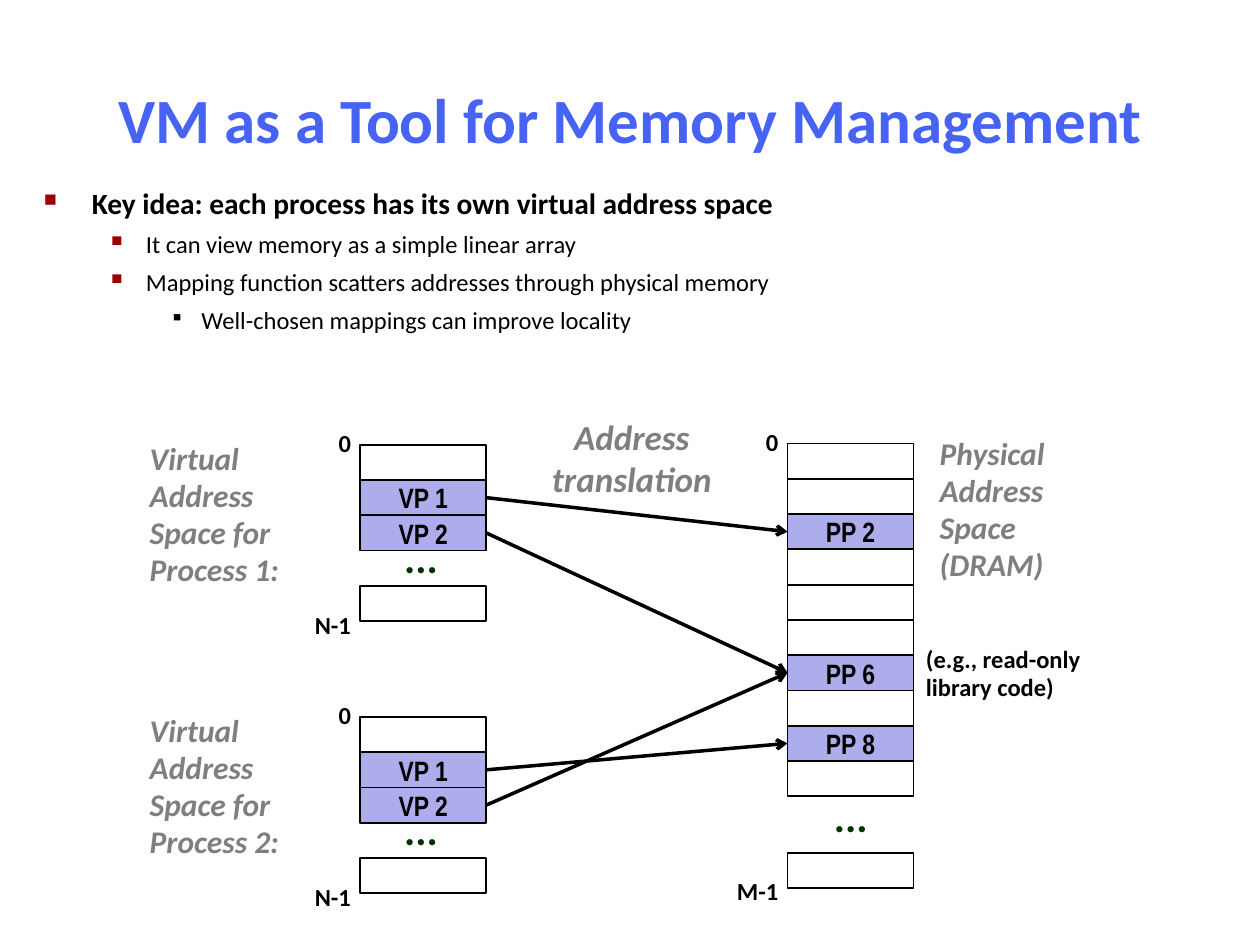
from dataclasses import dataclass

from lxml import etree
from pptx import Presentation
from pptx import util as u
from pptx.dml.color import RGBColor
from pptx.enum import shapes, text
from pptx.oxml import ns

COLORS = {
    "title": "4763F3", "ink": "000000", "label": "7F7F7F",
    "page": "ADADEB", "dots": "003300", "bullet": "990000",
}
ROW, COLUMN = 0.28, 1.0  # height and width of a memory page, inches
LEFT, CENTER = text.PP_ALIGN.LEFT, text.PP_ALIGN.CENTER


@dataclass
class AddressSpace:
    """A column of memory pages; rows count from its top."""
    left: float
    top: float
    rows: int
    last_row: float
    named: dict[int, str]
    end: str
    end_width: float
    dots_offset: tuple[float, float]

    def row_top(self, row: float) -> float:
        """Return the top of a row."""
        return self.top + row * ROW


@dataclass
class Bullet:
    """One line of the bulleted list."""
    words: str
    level: int
    size: float
    before: float
    margin: float
    hanging: float
    mark: str
    percent: int
    color: str


@dataclass
class Label:
    """A free text beside the columns."""
    words: str
    place: tuple[float, float, float, float]
    style: dict


def color(name: str) -> RGBColor:
    """Look up a colour by its name."""
    return RGBColor.from_string(COLORS[name])


def write(para, words: str, *, size: float = 14, font: str = "Calibri",
          ink: str = "ink", bold: bool = True, italic: bool = False,
          align=LEFT, spacing: float = 1.0, before: float = 0) -> None:
    """Put formatted words into a paragraph."""
    para.alignment, para.line_spacing = align, spacing
    para.space_before = u.Pt(before)
    span = para.add_run()
    span.text = words
    span.font.size, span.font.name = u.Pt(size), font
    span.font.bold, span.font.italic = bold, italic
    span.font.color.rgb = color(ink)


def add_text(page, words: str, place, *, wrap: bool = True, **style):
    """Add a text box with one paragraph for each line of words."""
    box = page.shapes.add_textbox(*map(u.Inches, place))
    frame = box.text_frame
    frame.word_wrap = wrap
    for index, line in enumerate(words.split("\n")):
        para = frame.add_paragraph() if index else frame.paragraphs[0]
        write(para, line, **style)
    return box


def add_title(page, words: str) -> None:
    """Place and fill the title."""
    box = page.shapes.title
    box.left, box.top, box.width, box.height = map(u.Inches, (0.29, 0.62, 9.42, 0.63))
    frame = box.text_frame
    frame.auto_size, frame.word_wrap = text.MSO_AUTO_SIZE.NONE, True
    frame.vertical_anchor = text.MSO_ANCHOR.MIDDLE
    frame.margin_left = frame.margin_right = frame.margin_top = frame.margin_bottom = 0
    write(frame.paragraphs[0], words, size=36, ink="title", align=CENTER)


def add_bullets(page, bullets: list[Bullet], place) -> None:
    """Add the bulleted list."""
    frame = page.shapes.add_textbox(*map(u.Inches, place)).text_frame
    frame.word_wrap = True
    for index, item in enumerate(bullets):
        para = frame.add_paragraph() if index else frame.paragraphs[0]
        para.level = item.level
        write(para, item.words, size=item.size, bold=item.level == 0, before=item.before)
        props = para._p.get_or_add_pPr()
        props.set("marL", str(u.Inches(item.margin)))
        props.set("indent", str(-u.Inches(item.hanging)))
        tint = etree.SubElement(props, ns.qn("a:buClr"))
        etree.SubElement(tint, ns.qn("a:srgbClr"), val=COLORS[item.color])
        etree.SubElement(props, ns.qn("a:buSzPct"), val=str(item.percent * 1000))
        etree.SubElement(props, ns.qn("a:buChar"), char=item.mark)


def add_cell(page, space: AddressSpace, row: float, name: str = "") -> None:
    """Draw one memory page, filled when it has a name."""
    place = (space.left, space.row_top(row), COLUMN, ROW)
    cell = page.shapes.add_shape(shapes.MSO_SHAPE.RECTANGLE, *map(u.Inches, place))
    cell.shadow.inherit = False
    cell.line.color.rgb, cell.line.width = color("ink"), u.Pt(1)
    if not name:
        cell.fill.background()
        return
    cell.fill.solid()
    cell.fill.fore_color.rgb = color("page")
    cell.text_frame.vertical_anchor = text.MSO_ANCHOR.MIDDLE
    write(cell.text_frame.paragraphs[0], name, size=16, font="Arial Narrow", align=CENTER)


def add_space(page, space: AddressSpace) -> None:
    """Draw a column with its dots and its first and last address."""
    for row in range(space.rows):
        add_cell(page, space, row, space.named.get(row, ""))
    add_cell(page, space, space.last_row)
    last_top, edge = space.row_top(space.last_row), space.left + 0.03
    across, down = space.dots_offset
    add_text(page, "...", (space.left + across, last_top + down, 0.47, 0.45),
             wrap=False, size=24, ink="dots", spacing=0.88, before=9)
    for words, top, width in (("0", space.top - 0.17, 0.3),
                              (space.end, last_top + 0.15, space.end_width)):
        add_text(page, words, (edge - width, top, width, 0.33), wrap=False, spacing=0.98)


def add_mapping(page, source: AddressSpace, row: int, target: AddressSpace, frame: int) -> None:
    """Draw an arrow from a virtual page to a physical page."""
    ends = (source.left + COLUMN, source.row_top(row + 0.5),
            target.left, target.row_top(frame + 0.5))
    arrow = page.shapes.add_connector(shapes.MSO_CONNECTOR.STRAIGHT, *map(u.Inches, ends))
    arrow.line.color.rgb, arrow.line.width = color("ink"), u.Pt(2)
    etree.SubElement(arrow.line._get_or_add_ln(), ns.qn("a:tailEnd"), type="arrow")
    etree.SubElement(arrow._element.spPr, ns.qn("a:effectLst"))


deck = Presentation()
deck.slide_width, deck.slide_height = u.Inches(10), u.Inches(7.5)
page = deck.slides.add_slide(deck.slide_layouts.get_by_name("Title Only"))

add_title(page, "VM as a Tool for Memory Management")
second = (1, 14, 5, 0.81, 0.31, "▪", 110, "bullet")
add_bullets(page, [
    Bullet("Key idea: each process has its own virtual address space",
           0, 16.8, 6, 0.38, 0.38, "■", 60, "bullet"),
    Bullet("It can view memory as a simple linear array", *second),
    Bullet("Mapping function scatters addresses through physical memory", *second),
    Bullet("Well-chosen mappings can improve locality",
           2, 14, 5, 1.25, 0.25, "▪", 80, "ink"),
], (0.25, 1.42, 8.59, 1.38))

processes = [AddressSpace(2.86, top, 3, 4, {1: "VP 1", 2: "VP 2"}, "N-1", 0.49, (0.25, -0.43))
             for top in (3.53, 5.69)]
physical = AddressSpace(6.25, 3.52, 10, 11.6, {2: "PP 2", 6: "PP 6", 8: "PP 8"},
                        "M-1", 0.53, (0.27, -0.49))
for space in (*processes, physical):
    add_space(page, space)

for process, row, frame in ((0, 1, 2), (0, 2, 6), (1, 2, 6), (1, 1, 8)):
    add_mapping(page, processes[process], row, physical, frame)

heading = dict(size=18, ink="label", italic=True, spacing=0.98)
labels = [Label(f"Virtual Address Space for Process {number}:",
                (1.09, space.top - 0.08, 1.5, 1.27), heading)
          for number, space in enumerate(processes, 1)]
labels += [
    Label("Physical\nAddress\nSpace (DRAM)", (7.36, 3.41, 1.17, 1.27), heading),
    Label("(e.g., read-only\nlibrary code)", (7.25, 5.07, 1.59, 0.55), dict(spacing=0.98)),
    Label("Address\ntranslation", (4.28, 3.25, 1.47, 0.77),
          dict(size=20, ink="label", italic=True, align=CENTER, wrap=False)),
]
for label in labels:
    add_text(page, label.words, label.place, **label.style)

deck.save("out.pptx")
